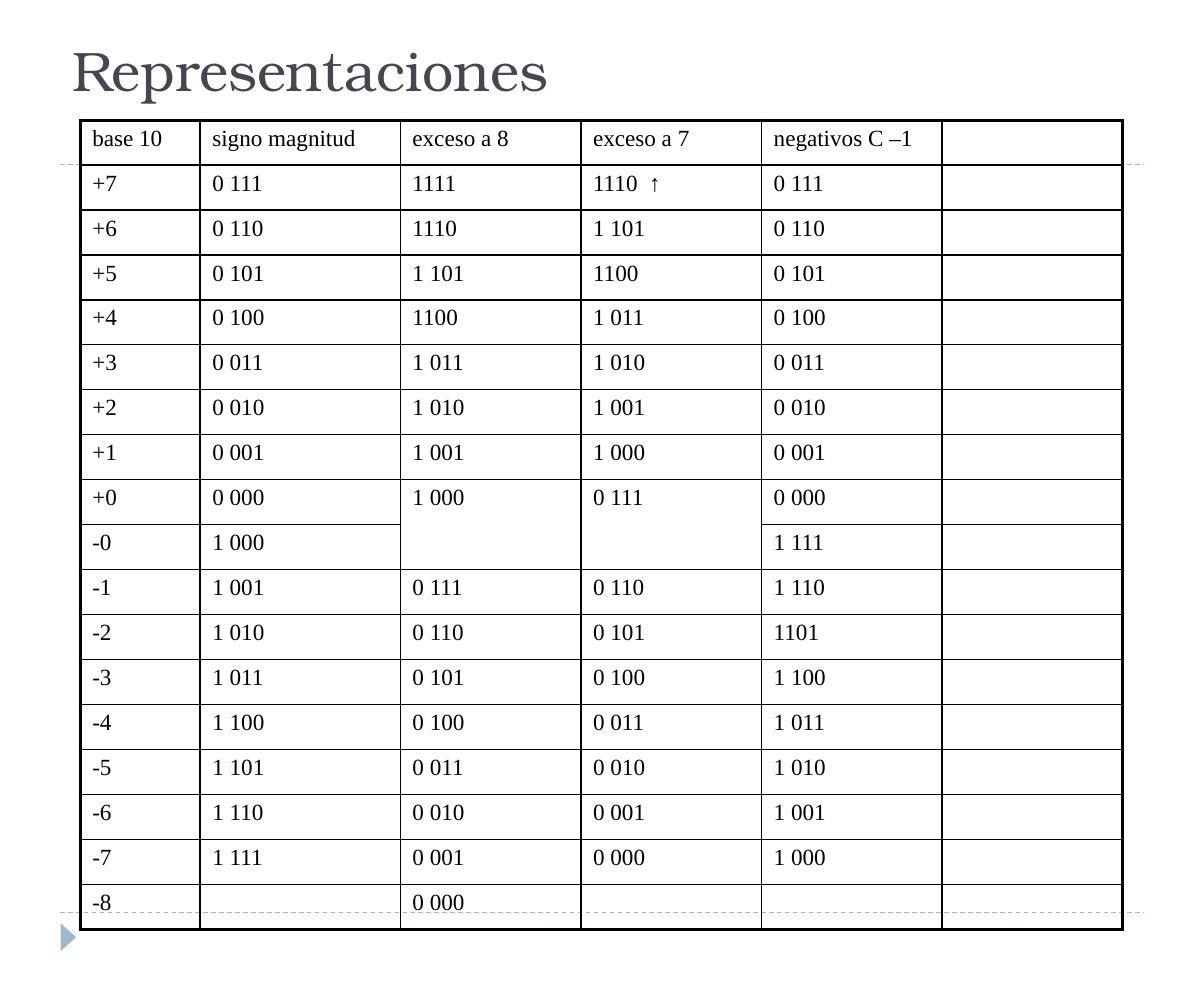
from lxml import etree
from pptx import Presentation
from pptx.dml.color import RGBColor
from pptx.enum.dml import MSO_LINE
from pptx.enum.shapes import MSO_CONNECTOR, MSO_SHAPE
from pptx.enum.text import MSO_ANCHOR, MSO_AUTO_SIZE, PP_ALIGN
from pptx.oxml.ns import qn
from pptx.util import Inches, Pt

STRAIGHT = MSO_CONNECTOR.STRAIGHT
DASH = MSO_LINE.DASH
TRIANGLE = MSO_SHAPE.ISOSCELES_TRIANGLE
BOTTOM = MSO_ANCHOR.BOTTOM
LEFT = PP_ALIGN.LEFT
NO_AUTOFIT = MSO_AUTO_SIZE.NONE

ACCENT, BLACK, TITLE_COLOR = "9FB8CD", "000000", "464653"
OUTER_WIDTH, INNER_WIDTH = 2.25, 1
TITLE_FONT = {"name": "TeX Gyre Bonum", "size": Pt(36), "bold": False}
CELL_FONT = {"name": "Times New Roman", "size": Pt(15), "bold": False}
TITLE_FRAME = {
    "vertical_anchor": BOTTOM, "auto_size": NO_AUTOFIT, "word_wrap": True,
    "margin_left": Inches(0.11), "margin_right": Inches(0.11),
    "margin_top": Inches(0.06), "margin_bottom": Inches(0.06),
}
CELL_MARGINS = {
    "margin_left": Inches(0.11), "margin_right": Inches(0.11),
    "margin_top": Inches(0.05), "margin_bottom": Inches(0.05),
}
TABLE_FLAGS = {"first_row": False, "horz_banding": False}
FIRST_COLUMNS = [1.08, 1.8]
MERGED_ROW, MERGED_COLUMNS = 8, (2, 3)
ROWS = [
    ["base 10", "signo magnitud", "exceso a 8", "exceso a 7", "negativos C –1", ""],
    ["+7", "0 111", "1111", "1110  ↑", "0 111", ""],
    ["+6", "0 110", "1110", "1 101", "0 110", ""],
    ["+5", "0 101", "1 101", "1100", "0 101", ""],
    ["+4", "0 100", "1100", "1 011", "0 100", ""],
    ["+3", "0 011", "1 011", "1 010", "0 011", ""],
    ["+2", "0 010", "1 010", "1 001", "0 010", ""],
    ["+1", "0 001", "1 001", "1 000", "0 001", ""],
    ["+0", "0 000", "1 000", "0 111", "0 000", ""],
    ["-0", "1 000", "", "", "1 111", ""],
    ["-1", "1 001", "0 111", "0 110", "1 110", ""],
    ["-2", "1 010", "0 110", "0 101", "1101", ""],
    ["-3", "1 011", "0 101", "0 100", "1 100", ""],
    ["-4", "1 100", "0 100", "0 011", "1 011", ""],
    ["-5", "1 101", "0 011", "0 010", "1 010", ""],
    ["-6", "1 110", "0 010", "0 001", "1 001", ""],
    ["-7", "1 111", "0 001", "0 000", "1 000", ""],
    ["-8", "", "0 000", "", "", ""],
]


def color(hex_value):
    """Return the colour for a hex string."""
    return RGBColor.from_string(hex_value)


def apply_format(target, values):
    """Set each attribute in values on target."""
    for name, value in values.items():
        setattr(target, name, value)


def add_rule(slide, left, top, width):
    """Draw a dashed horizontal rule."""
    rule = slide.shapes.add_connector(
        STRAIGHT, Inches(left), Inches(top), Inches(left + width), Inches(top))
    apply_format(rule.line, {"width": Pt(0.75), "dash_style": DASH})
    rule.line.color.rgb = color(ACCENT)
    etree.SubElement(rule._element.spPr, qn("a:effectLst"))


def add_decoration(slide, left, top, width, height):
    """Draw the two rules bounding the content and the corner marker."""
    add_rule(slide, left, top, width)
    add_rule(slide, left, top + height, width)
    marker = slide.shapes.add_shape(
        TRIANGLE, Inches(left - 0.05), Inches(top + height + 0.15), Inches(0.25), Inches(0.14))
    marker.rotation = 90
    marker.shadow.inherit = False
    marker.fill.solid()
    marker.fill.fore_color.rgb = color(ACCENT)
    marker.line.fill.background()


def add_title(slide, text, left, top, width, height):
    """Place and format the title placeholder."""
    title = slide.shapes.title
    apply_format(title, {"left": Inches(left), "top": Inches(top),
                         "width": Inches(width), "height": Inches(height)})
    title.text_frame.text = text
    apply_format(title.text_frame, TITLE_FRAME)
    paragraph = title.text_frame.paragraphs[0]
    paragraph.alignment = LEFT
    font = paragraph.runs[0].font
    apply_format(font, TITLE_FONT)
    font.color.rgb = color(TITLE_COLOR)


def set_borders(cell, widths):
    """Draw the cell borders with the given widths by side."""
    properties = cell._tc.get_or_add_tcPr()
    for side, width in widths.items():
        line = etree.SubElement(properties, qn(f"a:ln{side}"), w=str(Pt(width)))
        fill = etree.SubElement(line, qn("a:solidFill"))
        etree.SubElement(fill, qn("a:srgbClr"), val=BLACK)


def fill_cell(cell, text):
    """Write and format the text of one cell."""
    apply_format(cell, CELL_MARGINS)
    cell.fill.background()
    paragraph = cell.text_frame.paragraphs[0]
    if text:
        run = paragraph.add_run()
        run.text = text
        apply_format(run.font, CELL_FONT)
        run.font.color.rgb = color(BLACK)
    else:
        etree.SubElement(paragraph._p, qn("a:endParaRPr"), sz="1500")


def add_number_table(slide, left, top, width, height):
    """Build the table of number representations."""
    row_count, column_count = len(ROWS), len(ROWS[0])
    table = slide.shapes.add_table(
        row_count, column_count, Inches(left), Inches(top), Inches(width), Inches(height)).table
    apply_format(table, TABLE_FLAGS)
    equal_count = column_count - len(FIRST_COLUMNS)
    equal_width = (width - sum(FIRST_COLUMNS)) / equal_count
    for column, column_width in zip(table.columns, FIRST_COLUMNS + [equal_width] * equal_count):
        column.width = Inches(column_width)
    for row_index, row in enumerate(ROWS):
        table.rows[row_index].height = Inches(height / row_count)
        for column_index, text in enumerate(row):
            cell = table.cell(row_index, column_index)
            outer_sides = {"L": column_index == 0, "R": column_index == column_count - 1,
                           "T": row_index == 0, "B": row_index == row_count - 1}
            set_borders(cell, {side: OUTER_WIDTH if outer else INNER_WIDTH
                               for side, outer in outer_sides.items()})
            fill_cell(cell, text)
    for column_index in MERGED_COLUMNS:
        table.cell(MERGED_ROW, column_index).merge(table.cell(MERGED_ROW + 1, column_index))


def main():
    """Build and save the presentation."""
    presentation = Presentation()
    presentation.slide_width = Inches(10.83)
    presentation.slide_height = Inches(8.86)
    slide = presentation.slides.add_slide(presentation.slide_layouts[5])
    add_decoration(slide, 0.54, 1.48, 9.75, 6.73)
    add_title(slide, "Representaciones", 0.54, 0, 9.93, 0.98)
    add_number_table(slide, 0.72, 1.08, 9.38, 7.28)
    presentation.save("out.pptx")


if __name__ == "__main__":
    main()
